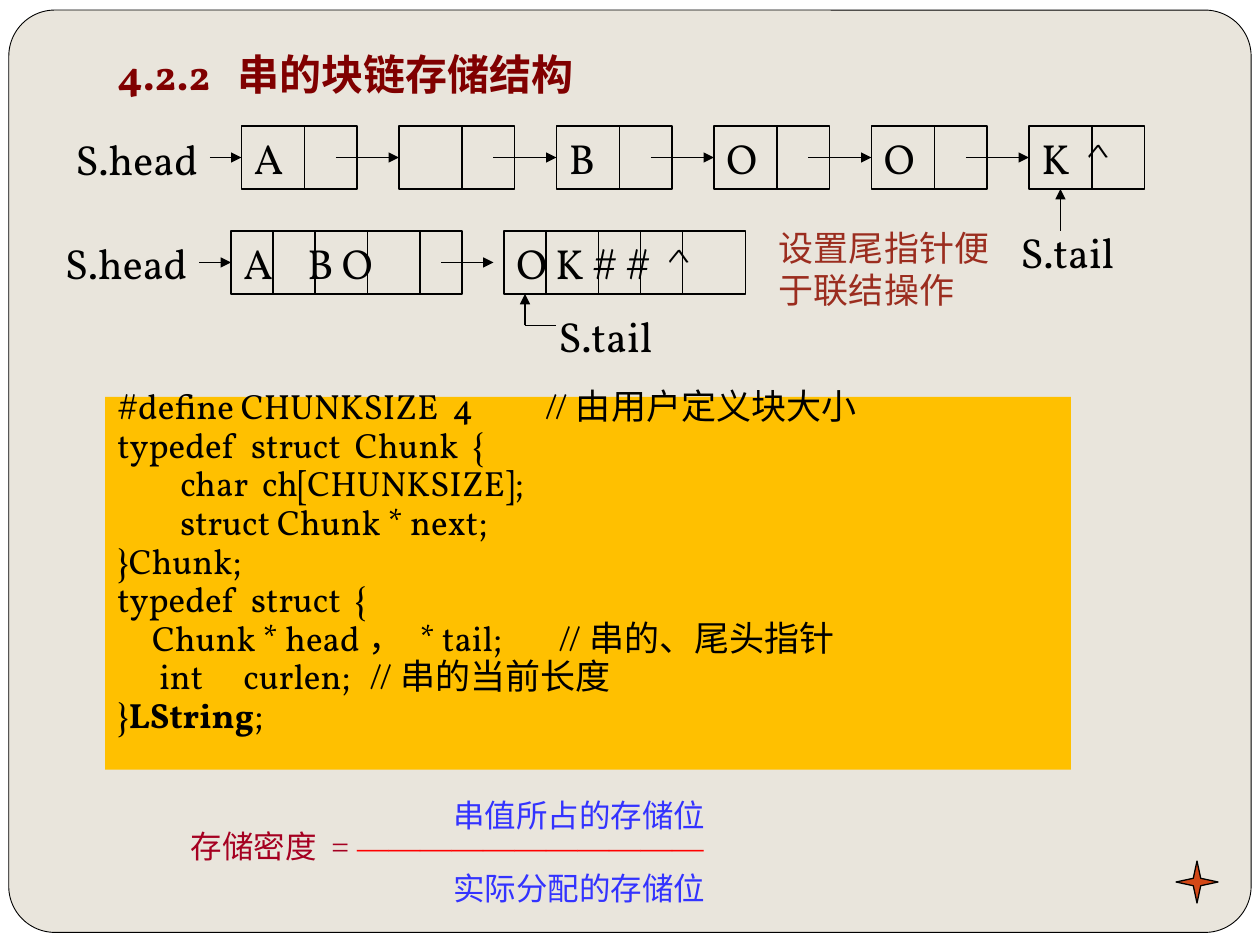
from lxml.etree import SubElement
from pptx import Presentation
from pptx.dml.color import RGBColor
from pptx.enum.shapes import MSO_CONNECTOR, MSO_SHAPE
from pptx.enum.text import MSO_ANCHOR, PP_ALIGN
from pptx.oxml.ns import qn
from pptx.util import Inches, Pt

presentation = Presentation()
presentation.slide_width, presentation.slide_height = Inches(10), Inches(7.5)
slide = presentation.slides.add_slide(presentation.slide_layouts[6])
shapes = slide.shapes
colour = RGBColor.from_string

# Grid of 120 columns by 90 square cells
CELL = presentation.slide_width / 120
SERIF, TIMES, CHINESE = "Vollkorn", "Times New Roman", "Noto Sans CJK SC"
BLACK = "000000"


def write(shape, runs, size, ink, font=SERIF, indent=0, tabs=(), spacing=None,
          before=True, new_paragraph=False):
    """Fill one paragraph; runs are (text, bold, font or None, colour or None)."""
    frame = shape.text_frame
    frame.word_wrap = True
    frame.vertical_anchor = MSO_ANCHOR.TOP
    paragraph = frame.add_paragraph() if new_paragraph else frame.paragraphs[0]
    paragraph.alignment = PP_ALIGN.LEFT
    if spacing:
        paragraph.line_spacing = spacing
    properties = paragraph._p.get_or_add_pPr()
    if indent:
        properties.set("marL", "0")
        properties.set("indent", str(int(indent * CELL)))
    if before:
        gap = SubElement(properties, qn("a:spcBef"))
        SubElement(gap, qn("a:spcPct")).set("val", "50000")
    if tabs:
        tab_list = SubElement(properties, qn("a:tabLst"))
        for position in tabs:
            tab = SubElement(tab_list, qn("a:tab"))
            tab.set("pos", str(int(position * CELL)))
            tab.set("algn", "l")
    for text, bold, own_font, own_ink in runs:
        run = paragraph.add_run()
        run.text = text
        run.font.size = Pt(size)
        run.font.name = own_font or font
        run.font.bold = bold
        run.font.color.rgb = colour(own_ink or ink)


def draw_line(start, end, arrow=False):
    points = [int(value * CELL) for value in (*start, *end)]
    line = shapes.add_connector(MSO_CONNECTOR.STRAIGHT, *points)
    line.line.color.rgb = colour(BLACK)
    line.line.width = Pt(0.75)
    if arrow:
        SubElement(line.line._get_or_add_ln(), qn("a:tailEnd")).set("type", "triangle")
    SubElement(line._element.spPr, qn("a:effectLst"))
    return line


# Background, code panel, star and list nodes: kind, place, fill, outline, adjustment
slide.background.fill.solid()
slide.background.fill.fore_color.rgb = colour("FFFFFF")
node_places = [(23 + 15 * index, 12, 11, 6) for index in range(6)]
chunk_places = [(22, 22, 22, 6), (48, 22, 23, 6)]
outlines = [
    (MSO_SHAPE.ROUNDED_RECTANGLE, (0.84, 0.96, 118.32, 87.84), "E9E5DC", 0.5, 0.05),
    (MSO_SHAPE.RECTANGLE, (10, 37.8, 92, 35.5), "FFC000", None, None),
    (MSO_SHAPE.STAR_4_POINT, (112, 82, 4, 4), "D34817", 0.75, 0.125),
]
for place in node_places + chunk_places:
    outlines.append((MSO_SHAPE.RECTANGLE, place, None, 0.75, None))
drawn = []
for kind, place, fill, width, adjustment in outlines:
    shape = shapes.add_shape(kind, *[int(value * CELL) for value in place])
    shape.shadow.inherit = False
    if fill:
        shape.fill.solid()
        shape.fill.fore_color.rgb = colour(fill)
    else:
        shape.fill.background()
    if width:
        shape.line.color.rgb = colour(BLACK)
        shape.line.width = Pt(width)
    else:
        shape.line.fill.background()
    if adjustment:
        shape.adjustments[0] = adjustment
    drawn.append(shape)
code_panel, nodes, chunks = drawn[1], drawn[3:9], drawn[9:]

# Characters in the nodes
for node, text in zip(nodes + chunks, ["A", "", "B", "O", "O", "K  ^", "A\tB O", "O K # #  ^"]):
    if text:
        write(node, [(text, False, None, None)], 24, BLACK, tabs=(6.1,) if "\t" in text else ())

# Node dividers, and arrows into the left side of each node
for index, node in enumerate(nodes):
    column = node_places[index][0]
    draw_line((column + 6, 12), (column + 6, 18))
    start = column - 6 if index else column - 3
    draw_line((start, 15), (column, 15), arrow=True).end_connect(node, 1)
for column in (26, 30, 35, 40, 52, 57, 61, 65):
    draw_line((column, 22), (column, 28))
draw_line((19, 25), (22, 25), arrow=True).end_connect(chunks[0], 1)
draw_line((42, 25), (47, 25), arrow=True)

# Tail pointers
draw_line((101, 22), (101, 18), arrow=True)
draw_line((50, 31), (50, 28), arrow=True)
draw_line((50, 31), (53, 31))

# Title, pointer labels and note: place, text, size, colour, bold
labels = [
    ((10, 4, 79, 6), "4.2.2  串的块链存储结构", 24, "800000", True),
    ((6, 12.1, 17, 6), "S.head", 24, BLACK, False),
    ((96, 21, 17, 6), "S.tail", 24, BLACK, False),
    ((5, 22, 17, 6), "S.head", 24, BLACK, False),
    ((52, 29, 17, 6), "S.tail", 24, BLACK, False),
    ((73, 21, 24, 9.2), "设置尾指针便于联结操作", 20, "9B2D1F", False),
]
for place, text, size, ink, bold in labels:
    box = shapes.add_textbox(*[int(value * CELL) for value in place])
    write(box, [(text, bold, None, None)], size, ink)

# Type definition: indent, tab stops, runs of (text, bold, font)
code_lines = [
    (0, (40.7,), [("#define CHUNKSIZE  4\t//", False, None), ("由用户定义块大小", False, CHINESE)]),
    (0, (), [("typedef  struct  Chunk  {", False, None)]),
    (6, (), [("char  ch[CHUNKSIZE];", False, None)]),
    (6, (), [("struct Chunk * next;", False, None)]),
    (0, (), [("}Chunk;", False, None)]),
    (0, (), [("typedef  struct  {", False, None)]),
    (3.3, (40.1,), [("Chunk * head， * tail;\t//串的、尾头指针", False, None)]),
    (4, (10.9, 33.1), [("int\tcurlen;\t//串的当前长度", False, None)]),
    (0, (), [("}", False, None), ("LString", True, None), (";", False, None)]),
]
for number, (indent, tabs, runs) in enumerate(code_lines):
    write(code_panel, [(*run, None) for run in runs], 20, BLACK, indent=indent, tabs=tabs,
          spacing=0.5, new_paragraph=number > 0)

# Storage density fraction; the bar is a second run in red
for place, parts in [
    ((17, 78.2, 72, 6), [("存储密度 = ", "A50021"), ("———————————", "FF0000")]),
    ((42, 75.2, 35, 6), [("串值所占的存储位", "3333FF")]),
    ((42, 82.2, 35, 6), [("实际分配的存储位", "3333FF")]),
]:
    box = shapes.add_textbox(*[int(value * CELL) for value in place])
    write(box, [(text, False, None, ink) for text, ink in parts], 18, BLACK,
          font=TIMES, before=False)

presentation.save("out.pptx")
